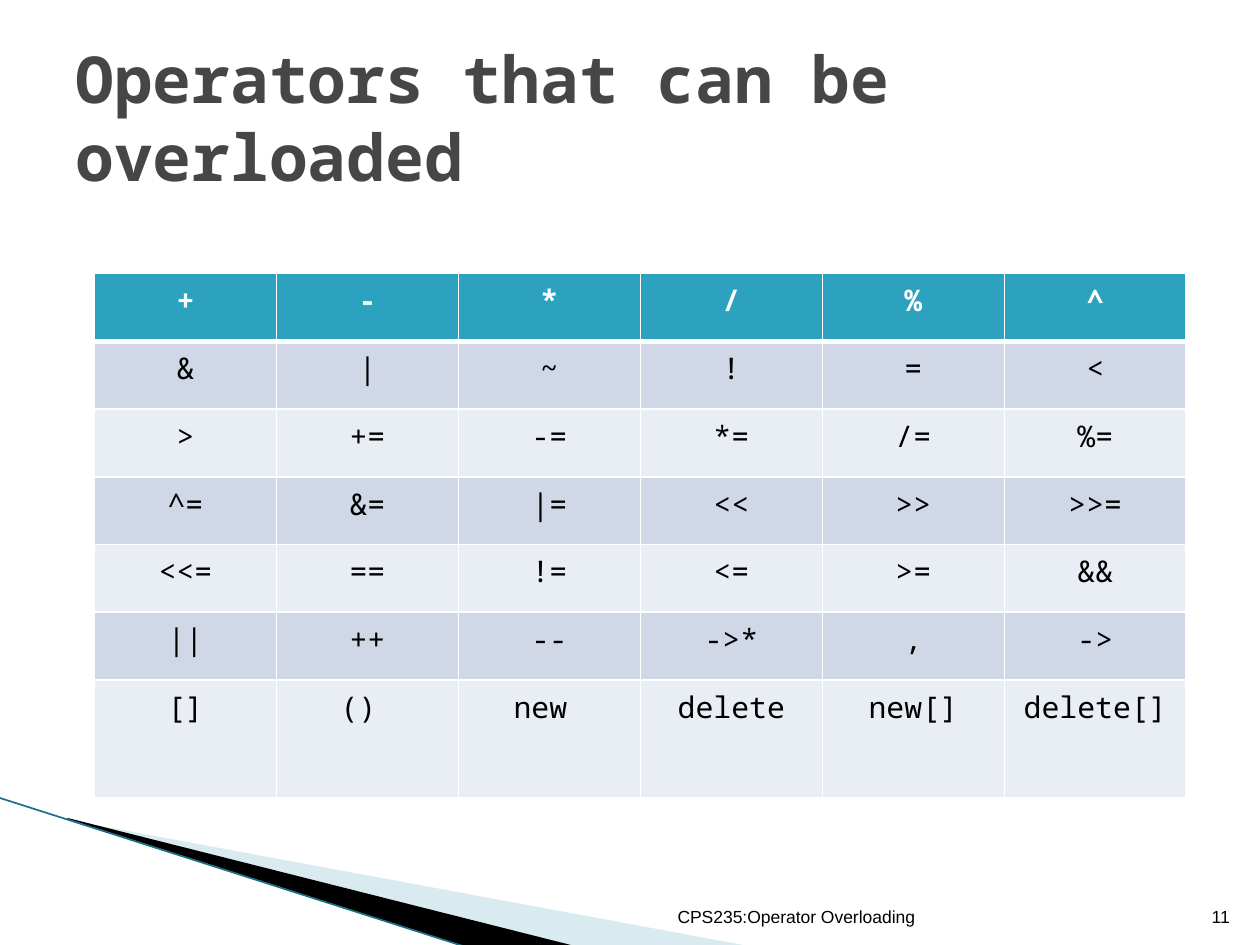
from lxml import etree
from pptx import Presentation
from pptx import util as u
from pptx.dml.color import RGBColor
from pptx.enum import shapes, text
from pptx.oxml.ns import qn

COLORS = {
    "title": "464646", "black": "000000", "white": "FFFFFF",
    "header": "2DA2BF", "band_dark": "D0D8E8", "band_light": "E9EDF4",
    "pale_wedge": "A0CBDC", "edge": "1B7085",
}
CODE_FONT, FOOTER_FONT = "Noto Sans Mono", "Arial"

TITLE = ("Operators that can be overloaded", (36, 21.6, 648, 90))
FOOTERS = [
    ("CPS235:Operator Overloading", (344.9, 504.7, 185, 28.8)),
    ("11", (681, 504.7, 28.8, 28.8)),
]
OPERATORS = [
    ["+", "-", "*", "/", "%", "^"],
    ["&", "|", "~", "!", "=", "<"],
    [">", "+=", "-=", "*=", "/=", "%="],
    ["^=", "&=", "|=", "<<", ">>", ">>="],
    ["<<=", "==", "!=", "<=", ">=", "&&"],
    ["||", "++", "--", "->*", ",", "->"],
    ["[]", "() ", "new ", "delete", "new[]", "delete[]"],
]
TABLE_LEFT, TABLE_TOP, COLUMN_WIDTH = 54, 156.4, 104
ROW_HEIGHT, LAST_ROW_HEIGHT = 38.7, 67.2
WEDGES = [
    ([(39.6, 468.7), (428.4, 540.7), (328.3, 540.7), (39.6, 468)],
     (56.2, 393.8, 299.5, 113.8), "pale_wedge", 40),
    ([(38.2, 467.3), (329, 540.7), (267.8, 541.4), (38.9, 468)],
     (-4.3, 455.8, 299.5, 66.2), "black", 100),
]
EDGE = (-0.7, 455.8, 267.1, 541.4)


def color(name):
    return RGBColor.from_string(COLORS[name])


def add_run(paragraph, words, size, font, color_name, bold=False):
    run = paragraph.add_run()
    run.text = words
    run.font.size = u.Pt(size)
    run.font.name = font
    run.font.bold = bold
    run.font.color.rgb = color(color_name)


def add_text(slide, words, box, anchor, alignment, *style):
    frame = slide.shapes.add_textbox(*map(u.Pt, box)).text_frame
    frame.word_wrap = True
    frame.vertical_anchor = anchor
    frame.paragraphs[0].alignment = alignment
    add_run(frame.paragraphs[0], words, *style)


def set_frame(shape, frame):
    left, top, width, height = map(u.Pt, frame)
    shift_x, shift_y = shape.left - left, shape.top - top
    for outline in shape._element.iter(qn("a:path")):
        outline.set("w", str(width))
        outline.set("h", str(height))
        for point in outline.iter(qn("a:pt")):
            point.set("x", str(int(point.get("x")) + shift_x))
            point.set("y", str(int(point.get("y")) + shift_y))
    shape.left, shape.top, shape.width, shape.height = left, top, width, height


def add_wedge(slide, points, frame, color_name, opacity):
    corners = [(u.Pt(x), u.Pt(y)) for x, y in points]
    builder = slide.shapes.build_freeform(*corners[0])
    builder.add_line_segments(corners[1:], close=True)
    shape = builder.convert_to_shape()
    set_frame(shape, frame)
    shape.shadow.inherit = False
    shape.line.fill.background()
    shape.fill.solid()
    shape.fill.fore_color.rgb = color(color_name)
    if opacity < 100:
        tint = shape.fill._xPr.find(".//" + qn("a:srgbClr"))
        etree.SubElement(tint, qn("a:alpha"), val=str(opacity * 1000))


def set_borders(cell, widths):
    properties = cell._tc.get_or_add_tcPr()
    for index, (side, width) in enumerate(widths.items()):
        line = etree.Element(qn("a:ln" + side), w=str(u.Pt(width)))
        fill = etree.SubElement(line, qn("a:solidFill"))
        etree.SubElement(fill, qn("a:srgbClr"), val=COLORS["white"])
        properties.insert(index, line)


def add_operator_table(slide):
    rows, columns = len(OPERATORS), len(OPERATORS[0])
    heights = [ROW_HEIGHT] * (rows - 1) + [LAST_ROW_HEIGHT]
    table = slide.shapes.add_table(
        rows, columns, u.Pt(TABLE_LEFT), u.Pt(TABLE_TOP),
        u.Pt(COLUMN_WIDTH * columns), u.Pt(sum(heights))).table
    for column in table.columns:
        column.width = u.Pt(COLUMN_WIDTH)
    for r, (height, operators) in enumerate(zip(heights, OPERATORS)):
        table.rows[r].height = u.Pt(height)
        is_header = r == 0
        band = "header" if is_header else "band_dark" if r % 2 else "band_light"
        widths = {"L": 1, "R": 1, "T": 3 if r == 1 else 1, "B": 3 if is_header else 1}
        for c, operator in enumerate(operators):
            cell = table.cell(r, c)
            cell.fill.solid()
            cell.fill.fore_color.rgb = color(band)
            set_borders(cell, widths)
            paragraph = cell.text_frame.paragraphs[0]
            paragraph.alignment = text.PP_ALIGN.CENTER
            add_run(paragraph, operator, 17, CODE_FONT,
                    "white" if is_header else "black", is_header)


def main():
    presentation = Presentation()
    presentation.slide_width, presentation.slide_height = u.Pt(720), u.Pt(540)
    slide = presentation.slides.add_slide(presentation.slide_layouts[6])

    for wedge in WEDGES:
        add_wedge(slide, *wedge)
    edge = slide.shapes.add_connector(shapes.MSO_CONNECTOR.STRAIGHT, *map(u.Pt, EDGE))
    edge.line.color.rgb = color("edge")
    edge.line.width = u.Pt(0.95)
    etree.SubElement(edge._element.spPr, qn("a:effectLst"))

    for words, box in FOOTERS:
        add_text(slide, words, box, text.MSO_ANCHOR.BOTTOM, text.PP_ALIGN.RIGHT,
                 10, FOOTER_FONT, "black")
    add_text(slide, *TITLE, text.MSO_ANCHOR.MIDDLE, text.PP_ALIGN.LEFT,
             36.9, CODE_FONT, "title", True)
    add_operator_table(slide)
    presentation.save("out.pptx")


if __name__ == "__main__":
    main()
